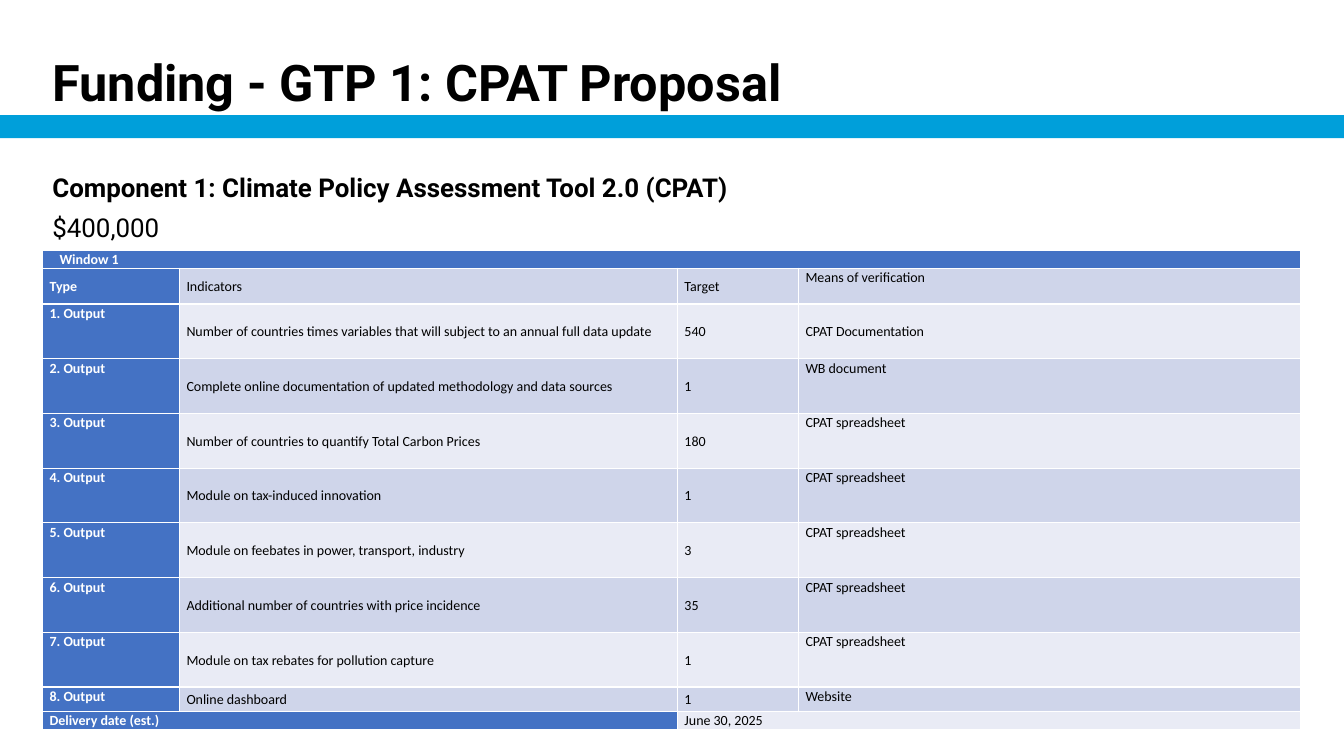
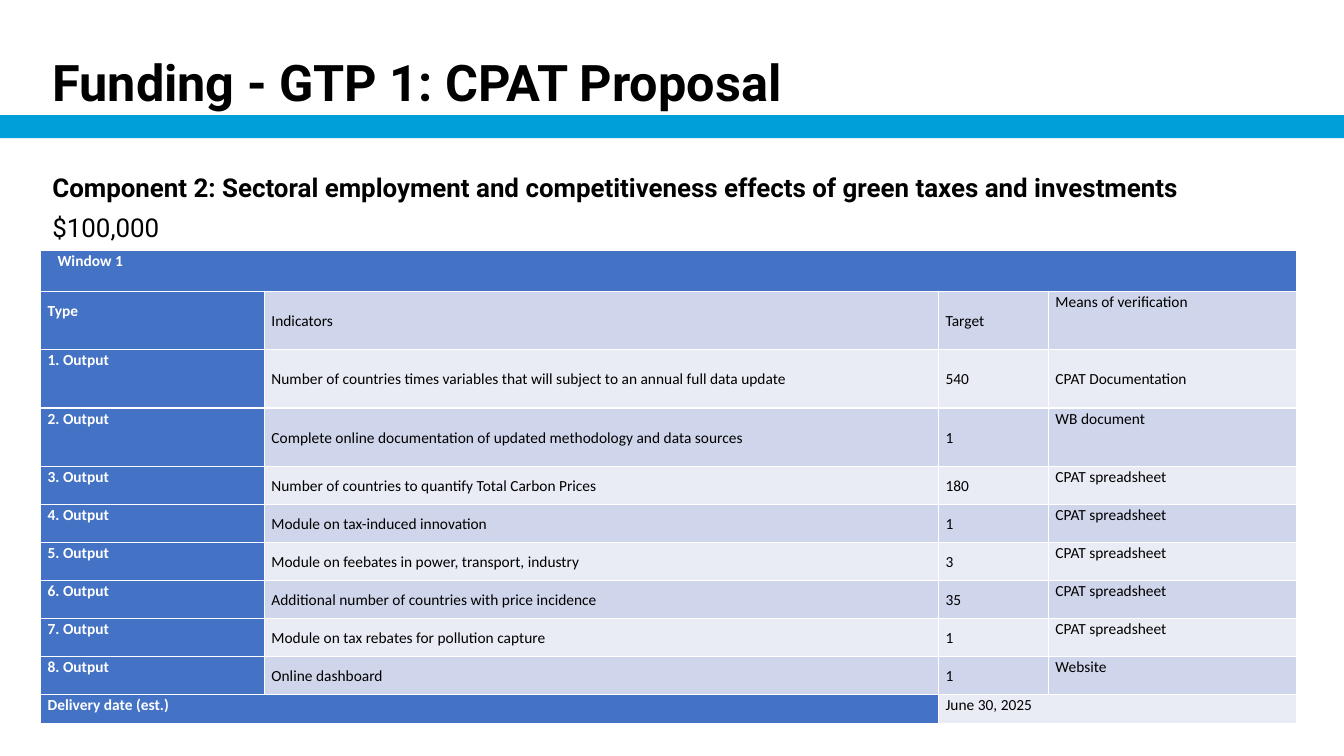
"""Build two funding slides with an output table for each CPAT component."""
import pptx
import pptx.dml.color
import pptx.enum.shapes
import pptx.enum.text
import pptx.util

Cm = pptx.util.Cm
Pt = pptx.util.Pt
ANCHOR = pptx.enum.text.MSO_ANCHOR
ALIGN = pptx.enum.text.PP_ALIGN

COLORS = {
    "black": "000000",
    "white": "FFFFFF",
    "band": "009FDA",
    "header": "4472C4",
    "dark_row": "CFD5EA",
    "light_row": "E9EBF5",
}
OUTPUTS = [
    ("Number of countries times variables that will subject to an annual full data update",
     "540", "CPAT Documentation"),
    ("Complete online documentation of updated methodology and data sources", "1", "WB document"),
    ("Number of countries to quantify Total Carbon Prices", "180", "CPAT spreadsheet"),
    ("Module on tax-induced innovation", "1", "CPAT spreadsheet"),
    ("Module on feebates in power, transport, industry", "3", "CPAT spreadsheet"),
    ("Additional number of countries with price incidence", "35", "CPAT spreadsheet"),
    ("Module on tax rebates for pollution capture", "1", "CPAT spreadsheet"),
    ("Online dashboard", "1", "Website"),
]
ROWS = [
    ("Window 1", "", "", ""),
    ("Type", "Indicators", "Target", "Means of verification"),
    *[(f"{n}. Output", *output) for n, output in enumerate(OUTPUTS, 1)],
    ("Delivery date (est.)", "", "June 30, 2025", ""),
]
LAST = len(ROWS) - 1
COMPONENTS = [
    {
        "heading": "Component 1: Climate Policy Assessment Tool 2.0 (CPAT)",
        "budget": "$400,000",
        "left": 1.07,
        "size": 10,
        "widths": [3.45, 12.55, 3.05, 12.65],
        "heights": [0.46, 0.9] + [1.38] * 7 + [0.61, 0.46],
    },
    {
        "heading": "Component 2: Sectoral employment and competitiveness effects"
                   " of green taxes and investments",
        "budget": "$100,000",
        "left": 1.02,
        "size": 11,
        "widths": [5.64, 16.99, 2.77, 6.25],
        "heights": [1.04] + [1.47] * 3 + [0.96] * 6 + [0.72],
    },
]


def rgb(name):
    return pptx.dml.color.RGBColor.from_string(COLORS[name])


def style(p, font, size, color, bold, spacing, align):
    p.font.name = font
    p.font.size = Pt(size)
    p.font.bold = bold
    p.font.color.rgb = rgb(color)
    p.line_spacing = spacing
    p.alignment = align


prs = pptx.Presentation()
prs.slide_width = Cm(33.87)
prs.slide_height = Cm(19.05)
layout = prs.slide_layouts[5]

for component in COMPONENTS:
    s = prs.slides.add_slide(layout)

    if component is COMPONENTS[0]:
        band = s.shapes.add_shape(pptx.enum.shapes.MSO_SHAPE.RECTANGLE,
                                  0, Cm(2.9), prs.slide_width, Cm(0.58))
        band.shadow.inherit = False
        band.fill.solid()
        band.fill.fore_color.rgb = rgb("band")
        band.line.fill.background()
        band.element.nvSpPr.cNvPr.set("id", "20")
        layout.shapes.element.append(band.element)

    title = s.shapes.title
    title.left, title.top, title.width, title.height = Cm(1.07), Cm(1.32), Cm(31.7), Cm(1.6)
    tf = title.text_frame
    tf.text = "Funding - GTP 1: CPAT Proposal"
    tf.auto_size = pptx.enum.text.MSO_AUTO_SIZE.NONE
    tf.vertical_anchor = ANCHOR.BOTTOM
    style(tf.paragraphs[0], "Roboto", 36, "black", True, 0.8, ALIGN.LEFT)

    sp = s.shapes.add_textbox(Cm(1.07), Cm(3.91), Cm(31.65), Cm(2.39))
    tf = sp.text_frame
    tf.word_wrap = True
    tf.vertical_anchor = ANCHOR.MIDDLE
    tf.text = component["heading"] + "\n" + component["budget"]
    for p, bold in zip(tf.paragraphs, (True, False)):
        style(p, "Roboto", 18.5, "black", bold, 1.3, ALIGN.LEFT)

    widths, heights = component["widths"], component["heights"]
    table = s.shapes.add_table(len(ROWS), len(widths), Cm(component["left"]), Cm(6.3),
                               Cm(sum(widths)), Cm(sum(heights))).table
    table.horz_banding = False
    for column, width in zip(table.columns, widths):
        column.width = Cm(width)
    for row, height in zip(table.rows, heights):
        row.height = Cm(height)
    table.cell(0, 0).merge(table.cell(0, 3))
    table.cell(LAST, 0).merge(table.cell(LAST, 1))
    table.cell(LAST, 2).merge(table.cell(LAST, 3))

    for i, texts in enumerate(ROWS):
        for j, text in enumerate(texts):
            cell = table.cell(i, j)
            heading = i == 0 or j == 0
            centred = 0 < i < LAST and (j in (1, 2) or text == "CPAT Documentation")
            cell.fill.solid()
            cell.fill.fore_color.rgb = rgb(
                "header" if heading else "dark_row" if i % 2 else "light_row")
            cell.margin_left = Cm(0.43 if text == "Window 1" else 0.18)
            cell.margin_right = Cm(0.18)
            cell.margin_top = Cm(0.23 if text == "Type" else 0)
            cell.margin_bottom = 0
            cell.vertical_anchor = ANCHOR.MIDDLE if centred else ANCHOR.TOP
            if text:
                cell.text = text
            style(cell.text_frame.paragraphs[0], "Calibri", component["size"],
                  "white" if heading else "black", heading, 1.07, ALIGN.JUSTIFY)

prs.save("out.pptx")
